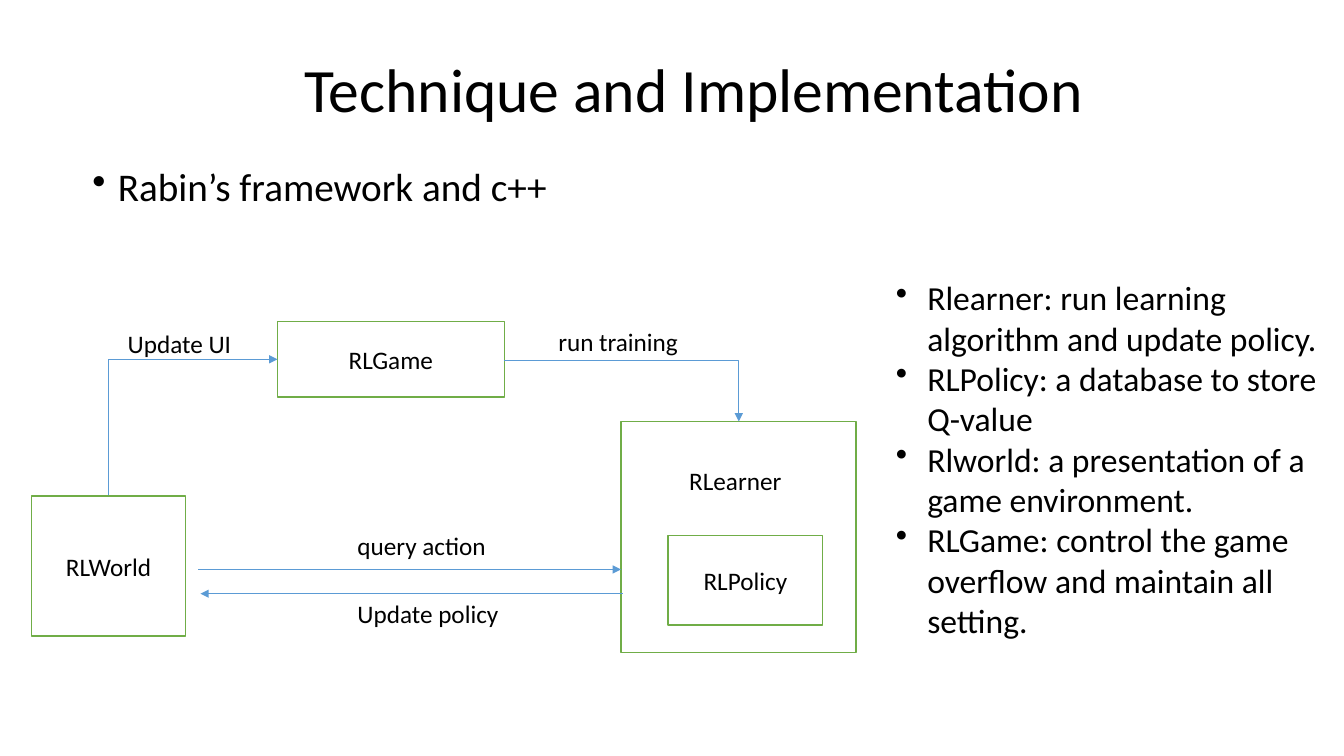
from dataclasses import dataclass
from pptx import Presentation
from pptx.dml.color import RGBColor as RGB
from pptx.enum.shapes import MSO_CONNECTOR as Link, MSO_SHAPE as Kind
from pptx.enum.text import MSO_ANCHOR as Anchor, PP_ALIGN as Align
from pptx.oxml.ns import qn
from pptx.util import Cm, Pt
from lxml.etree import SubElement as Sub


@dataclass
class Theme:
    font: str = "Calibri"
    ink: RGB = RGB(0, 0, 0)
    paper: RGB = RGB(255, 255, 255)
    green: RGB = RGB(0x70, 0xAD, 0x47)
    blue: RGB = RGB(0x5B, 0x9B, 0xD5)
    title: int = 44
    lead: int = 28
    notes: int = 24
    label: int = 18


theme = Theme()
deck = Presentation()
deck.slide_width, deck.slide_height = Cm(33.87), Cm(19.05)
slide = deck.slides.add_slide(deck.slide_layouts[6])
shapes = slide.shapes


def write(shape, text, size, anchor=Anchor.TOP, align=Align.LEFT):
    frame = shape.text_frame
    frame.word_wrap = True
    frame.vertical_anchor = anchor
    frame.text = text
    for para in frame.paragraphs:
        para.alignment = align
        for run in para.runs:
            run.font.name = theme.font
            run.font.size = Pt(size)
            run.font.color.rgb = theme.ink
    return frame.paragraphs


def indent(para, left, hang=0):
    props = para._p.get_or_add_pPr()
    props.set("marL", str(Cm(left)))
    props.set("indent", str(-Cm(hang)))
    if hang:
        Sub(props, qn("a:buChar")).set("char", "•")


box = shapes.add_textbox(Cm(2.34), Cm(1.02), Cm(29.21), Cm(2.62))
head = write(box, "Technique and Implementation", theme.title, Anchor.MIDDLE)[0]
head.line_spacing = 0.9
indent(head, 5.08)

box = shapes.add_textbox(Cm(2.08), Cm(4.09), Cm(12.27), Cm(1.4))
lead = write(box, "Rabin’s framework and c++", theme.lead)[0]
lead.line_spacing = 0.9
lead.space_before = Pt(10)
indent(lead, 0.64, 0.64)

blocks = [
    ("", 15.65, 10.62, 5.92, 5.82),
    ("RLPolicy", 16.84, 13.49, 3.89, 2.26),
    ("RLWorld", 0.79, 12.5, 3.89, 3.53),
    ("RLGame", 6.99, 8.1, 5.72, 1.91),
]
for text, *area in blocks:
    block = shapes.add_shape(Kind.RECTANGLE, *map(Cm, area))
    block.shadow.inherit = False
    block.fill.solid()
    block.fill.fore_color.rgb = theme.paper
    block.line.color.rgb = theme.green
    block.line.width = Pt(1)
    if text:
        write(block, text, theme.label, Anchor.MIDDLE, Align.CENTER)

labels = [
    ("RLearner", 17.12, 11.61, 3.61),
    ("run training", 13.82, 8.1, 5.49),
    ("Update UI", 2.97, 8.15, 5.49),
    ("query action", 8.76, 13.23, 4.11),
    ("Update policy", 8.76, 14.96, 4.11),
]
for text, left, top, width in labels:
    box = shapes.add_textbox(Cm(left), Cm(top), Cm(width), Cm(1.02))
    write(box, text, theme.label)

arrows = [
    (Link.ELBOW, 0, 12.7, 9.07, 18.62, 10.62),
    (Link.ELBOW, 90, 6.58, 12.9, 3.15, 8.64),
    (Link.STRAIGHT, 0, 5, 14.35, 15.65, 14.35),
    (Link.STRAIGHT, 0, 15.7, 14.96, 5.05, 14.96),
]
for kind, turn, *ends in arrows:
    arrow = shapes.add_connector(kind, *map(Cm, ends))
    arrow.line.color.rgb = theme.blue
    arrow.line.width = Pt(0.5)
    props = arrow._element.spPr
    Sub(arrow.line._get_or_add_ln(), qn("a:tailEnd")).set("type", "triangle")
    Sub(props, qn("a:effectLst"))
    if kind == Link.ELBOW:
        props.find(qn("a:prstGeom")).set("prst", "bentConnector2")
    if turn:
        props.find(qn("a:xfrm")).set("rot", str(turn * 60000))

notes = [
    "Rlearner: run learning algorithm and update policy.",
    "RLPolicy: a database to store Q-value",
    "Rlworld: a presentation of a game environment.",
    "RLGame: control the game overflow and maintain all setting.",
]
box = shapes.add_textbox(Cm(22.33), Cm(6.86), Cm(11.4), Cm(9.5))
for para in write(box, "\n".join(notes), theme.notes):
    indent(para, 0.79, 0.79)

deck.save("out.pptx")
